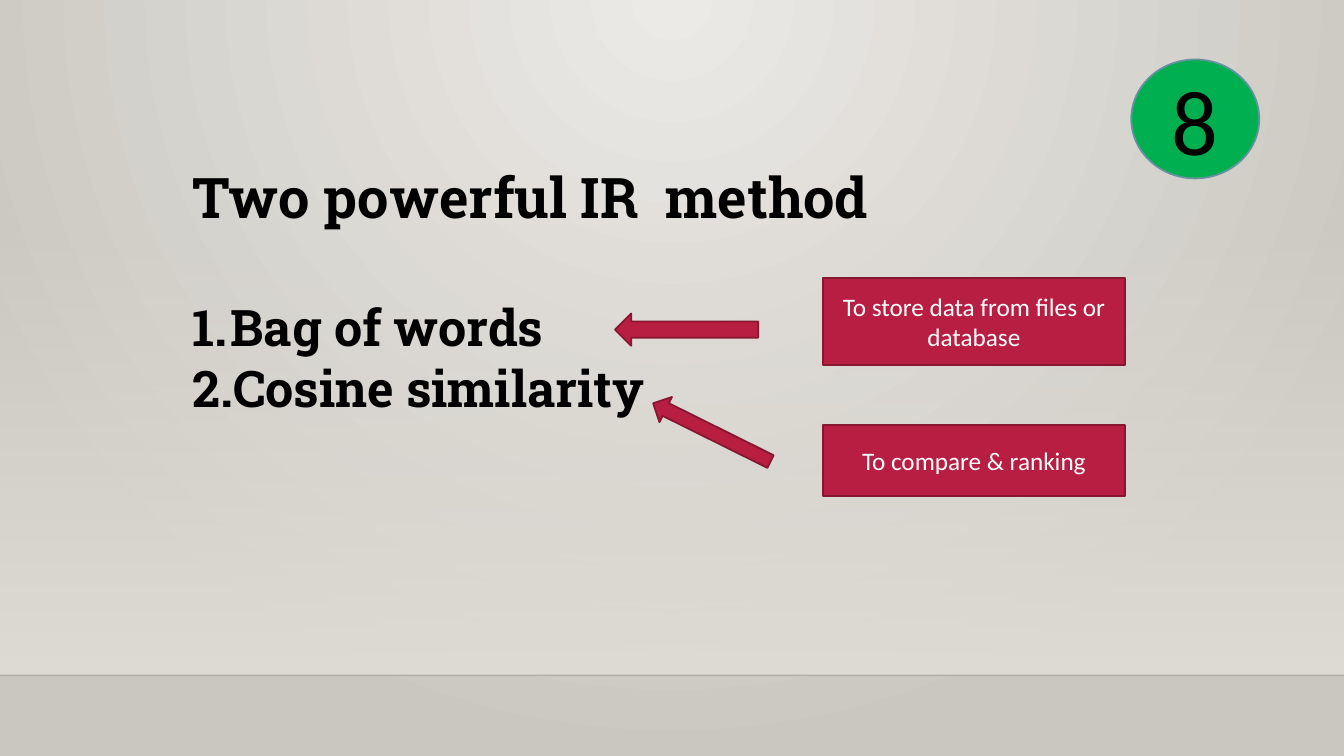
from dataclasses import dataclass

from lxml.etree import SubElement
from pptx import Presentation
from pptx.dml.color import RGBColor
from pptx.enum.shapes import MSO_CONNECTOR as Connector, MSO_SHAPE as Preset
from pptx.enum.text import MSO_ANCHOR as Anchor, PP_ALIGN as Align
from pptx.oxml.ns import qn
from pptx.util import Inches, Pt

COLORS = {
    "glow": "ECEAE7", "edge": "CAC7C1", "wall": "DFDBD5", "floor_line": "000001",
    "crimson": "B71E42", "crimson_line": "871631", "green": "00B050",
    "badge_line": "6892A0", "black": "000000", "white": "FFFFFF",
}
WIDTH, HEIGHT, FLOOR = 13.33, 7.5, 6.7


@dataclass
class Block:
    preset: Preset
    left: float
    top: float
    width: float
    height: float
    fill: str = "crimson"
    line: str = "crimson_line"
    rotation: float = 0
    text: str = ""
    size: float = 18
    color: str = "white"


BLOCKS = [
    Block(Preset.LEFT_ARROW, 6.1, 3.11, 1.42, 0.32),
    Block(Preset.RECTANGLE, 8.16, 2.76, 3, 0.86, text="To store data from files or database"),
    Block(Preset.LEFT_ARROW, 6.41, 4.15, 1.3, 0.28, rotation=26.4),
    Block(Preset.RECTANGLE, 8.16, 4.22, 3, 0.7, text="To compare & ranking"),
    Block(Preset.OVAL, 11.22, 0.59, 1.27, 1.18, "green", "badge_line",
          text="8", size=66, color="black"),
]


def rgb(name: str) -> RGBColor:
    return RGBColor.from_string(COLORS[name])


def set_alpha(color_element, percent: int) -> None:
    SubElement(color_element, qn("a:alpha")).set("val", str(percent * 1000))


def set_gradient(fill, start: str, end: str) -> None:
    fill.gradient()
    for stop, name, position in zip(fill.gradient_stops, (start, end), (0, 1)):
        stop.color.rgb = rgb(name)
        stop.position = position


def write(paragraph, text: str, *, size: float, font: str = "Calibri",
          color: str = "black", bold: bool = False, align: Align = Align.LEFT) -> None:
    paragraph.alignment = align
    run = paragraph.add_run()
    run.text = text
    run.font.name = font
    run.font.size = Pt(size)
    run.font.bold = bold
    run.font.color.rgb = rgb(color)


def number(paragraph) -> None:
    properties = paragraph._p.get_or_add_pPr()
    properties.set("marL", str(Inches(0.38)))
    properties.set("indent", str(-Inches(0.38)))
    SubElement(properties, qn("a:buFont")).set("typeface", "+mj-lt")
    SubElement(properties, qn("a:buAutoNum")).set("type", "arabicPeriod")


def draw_backdrop(slide) -> None:
    # Radial glow from the top centre
    set_gradient(slide.background.fill, "glow", "edge")
    gradient = slide.element.find(".//" + qn("a:gradFill"))
    gradient.remove(gradient.find(qn("a:lin")))
    glow = SubElement(gradient, qn("a:path"))
    glow.set("path", "circle")
    target = SubElement(glow, qn("a:fillToRect"))
    for side, percent in {"l": 43, "t": 0, "r": 43, "b": 100}.items():
        target.set(side, str(percent * 1000))

    # Wall that fades in towards the floor
    wall = slide.shapes.add_shape(
        Preset.RECTANGLE, 0, Inches(2.21), Inches(WIDTH), Inches(FLOOR - 2.21))
    wall.shadow.inherit = False
    wall.line.fill.background()
    set_gradient(wall.fill, "wall", "wall")
    wall.fill.gradient_angle = 270
    set_alpha(wall.element.find(".//" + qn("a:gs")).find(qn("a:srgbClr")), 0)

    # Floor line
    line = slide.shapes.add_connector(
        Connector.STRAIGHT, 0, Inches(FLOOR), Inches(WIDTH), Inches(FLOOR))
    line.line.width = Pt(1)
    line.line.color.rgb = rgb("floor_line")
    set_alpha(line.element.find(".//" + qn("a:srgbClr")), 20)
    SubElement(line.element.spPr, qn("a:effectLst"))


def draw_methods(slide) -> None:
    box = slide.shapes.add_textbox(Inches(1.81), Inches(1.56), Inches(8.77), Inches(2.66))
    frame = box.text_frame
    frame.word_wrap = True
    write(frame.paragraphs[0], "Two powerful IR  method", size=40,
          font="Roboto Slab", bold=True)
    frame.paragraphs[0].space_after = Pt(48)
    for method in ("Bag of words", "Cosine similarity"):
        paragraph = frame.add_paragraph()
        write(paragraph, method, size=36, font="Roboto Slab", bold=True)
        number(paragraph)


def draw_block(slide, block: Block) -> None:
    shape = slide.shapes.add_shape(
        block.preset, Inches(block.left), Inches(block.top),
        Inches(block.width), Inches(block.height))
    shape.shadow.inherit = False
    shape.rotation = block.rotation
    shape.fill.solid()
    shape.fill.fore_color.rgb = rgb(block.fill)
    shape.line.color.rgb = rgb(block.line)
    shape.line.width = Pt(1.25)
    if block.text:
        shape.text_frame.word_wrap = True
        shape.text_frame.vertical_anchor = Anchor.MIDDLE
        write(shape.text_frame.paragraphs[0], block.text, size=block.size,
              color=block.color, align=Align.CENTER)


def main() -> None:
    presentation = Presentation()
    presentation.slide_width = Inches(WIDTH)
    presentation.slide_height = Inches(HEIGHT)
    slide = presentation.slides.add_slide(presentation.slide_layouts[6])
    draw_backdrop(slide)
    draw_methods(slide)
    for block in BLOCKS:
        draw_block(slide, block)
    presentation.save("out.pptx")


if __name__ == "__main__":
    main()
